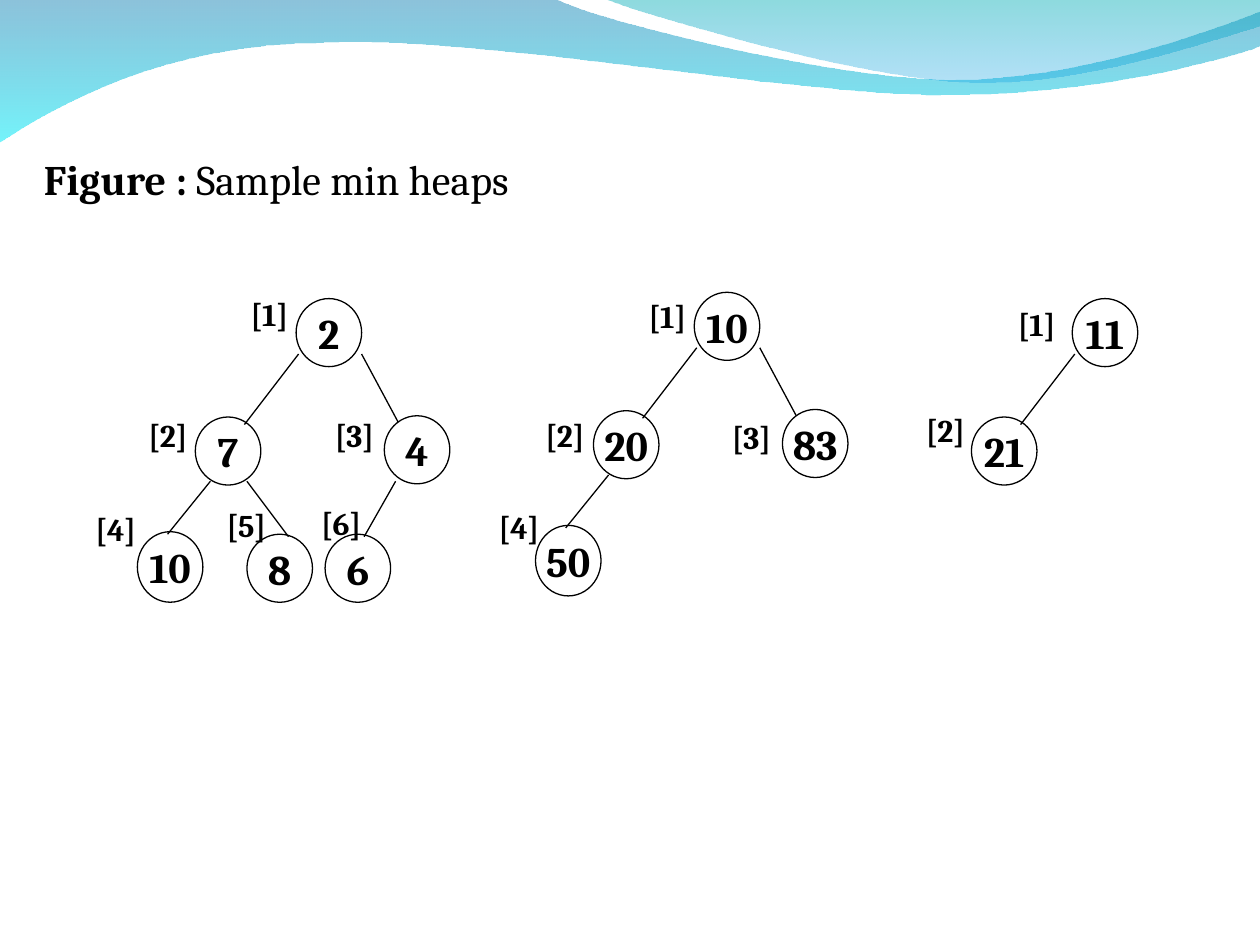
from lxml import etree
from pptx import Presentation
from pptx.dml.color import RGBColor
from pptx.enum.shapes import MSO_CONNECTOR, MSO_SHAPE
from pptx.enum.text import MSO_ANCHOR, PP_ALIGN
from pptx.oxml.ns import qn
from pptx.util import Inches, Pt

BLACK = RGBColor(0x00, 0x00, 0x00)
DEEP_BLUE = RGBColor(0x00, 0x79, 0xAF)
CYAN = RGBColor(0x00, 0xEB, 0xF8)
TEAL = RGBColor(0x00, 0xAD, 0xB6)
SKY_BLUE = RGBColor(0x00, 0x9B, 0xE5)

# Each wave: start, then segments of one point (straight line) or three points
# (Bezier curve), then gradient stops as colour and opacity in percent.
WAVES = [
    ((0, -0.01),
     [[(4.4, -0.01)],
      [(4.76, 0.17), (6.64, 0.63), (7.58, 0.63)],
      [(8.53, 0.63), (9.58, 0.26), (10, 0.09)],
      [(10.01, 0.36)],
      [(9.83, 0.44), (8.7, 0.76), (7.46, 0.75)],
      [(6.22, 0.75), (3.82, 0.28), (2.57, 0.34)],
      [(1.29, 0.35), (0.46, 0.83), (-0.01, 1.13)],
      [(0, -0.01)]],
     [(DEEP_BLUE, 45), (CYAN, 55)]),
    ((4.79, -0.01),
     [[(5.09, 0.11), (6.82, 0.62), (7.69, 0.65)],
      [(8.56, 0.69), (9.61, 0.32), (10, 0.21)],
      [(10, 0)],
      [(4.79, -0.01)]],
     [(TEAL, 45), (SKY_BLUE, 30)]),
]

# Layout shared by all heaps, relative to the root's top left corner.
NODE_WIDTH = 0.52
NODE_PLACES = {  # index: left, top, height
    1: (0, 0, 0.54),
    2: (-0.8, 0.94, 0.54),
    3: (0.7, 0.93, 0.54),
    4: (-1.26, 1.85, 0.56),
    5: (-0.39, 1.87, 0.54),
    6: (0.23, 1.87, 0.54),
}
EDGES_TO = {  # child index: start x, y, end x, y
    2: (0.02, 0.44, -0.41, 1),
    3: (0.52, 0.44, 0.81, 0.98),
    4: (-0.68, 1.45, -1.02, 1.87),
    5: (-0.39, 1.45, -0.06, 1.89),
    6: (0.79, 1.45, 0.54, 1.89),
}
# Each heap: root position, values in index order, index label positions.
HEAPS = [
    (2.35, 2.37, [2, 7, 4, 10, 8, 6],
     [(1.89, 2.29), (1.08, 3.25), (2.56, 3.25), (0.66, 4), (1.7, 3.97), (2.45, 3.95)]),
    (5.51, 2.32, [10, 20, 83, 50],
     [(5.05, 2.31), (4.23, 3.25), (5.71, 3.27), (3.86, 3.98)]),
    (8.51, 2.37, [11, 21],
     [(7.98, 2.37), (7.25, 3.21)]),
]


def add_run(paragraph, text, size, bold=True):
    run = paragraph.add_run()
    run.text = text
    run.font.name = "Cambria"
    run.font.size = Pt(size)
    run.font.bold = bold
    run.font.color.rgb = BLACK


prs = Presentation()
prs.slide_width, prs.slide_height = Inches(10), Inches(7.5)
slide = prs.slides.add_slide(prs.slide_layouts[6])
shapes = slide.shapes

for (start_x, start_y), segments, stops in WAVES:
    builder = shapes.build_freeform(Inches(start_x), Inches(start_y))
    builder.add_line_segments([(Inches(x), Inches(y)) for segment in segments
                               for x, y in segment], close=True)
    wave = builder.convert_to_shape()

    # Join the three points of each curved segment into one Bezier curve.
    lines = iter(list(wave._element.spPr.iter(qn("a:lnTo"))))
    for segment in segments:
        members = [next(lines) for _ in segment]
        if len(members) == 3:
            curve = etree.Element(qn("a:cubicBezTo"))
            members[0].addprevious(curve)
            for member in members:
                curve.append(member[0])
                member.getparent().remove(member)

    wave.shadow.inherit = False
    wave.line.fill.background()
    wave.fill.gradient()
    wave.fill.gradient_angle = 270
    for stop, (color, _) in zip(wave.fill.gradient_stops, stops):
        stop.color.rgb = color
    gradient_colors = wave._element.spPr.iter(qn("a:srgbClr"))
    for color_element, (_, opacity) in zip(gradient_colors, stops):
        etree.SubElement(color_element, qn("a:alpha"), val=str(opacity * 1000))

for root_x, root_y, values, label_places in HEAPS:
    for index, value in enumerate(values, start=1):
        left, top, height = NODE_PLACES[index]
        node = shapes.add_shape(MSO_SHAPE.OVAL, Inches(root_x + left), Inches(root_y + top),
                                Inches(NODE_WIDTH), Inches(height))
        node.shadow.inherit = False
        node.fill.background()
        node.line.color.rgb = BLACK
        node.line.width = Pt(0.75)
        node.text_frame.word_wrap = False
        node.text_frame.vertical_anchor = MSO_ANCHOR.MIDDLE
        node_text = node.text_frame.paragraphs[0]
        node_text.alignment = PP_ALIGN.CENTER
        add_run(node_text, str(value), 24)

        if index in EDGES_TO:
            x1, y1, x2, y2 = EDGES_TO[index]
            edge = shapes.add_connector(MSO_CONNECTOR.STRAIGHT,
                                        Inches(root_x + x1), Inches(root_y + y1),
                                        Inches(root_x + x2), Inches(root_y + y2))
            edge.line.color.rgb = BLACK
            edge.line.width = Pt(0.75)
            etree.SubElement(edge._element.spPr, qn("a:effectLst"))

    for index, (left, top) in enumerate(label_places, start=1):
        label = shapes.add_textbox(Inches(left), Inches(top), Inches(0.54), Inches(0.4))
        label.text_frame.word_wrap = False
        add_run(label.text_frame.paragraphs[0], f"[{index}]", 18)

caption = shapes.add_textbox(Inches(0.25), Inches(1.17), Inches(4.48), Inches(0.5))
caption.text_frame.word_wrap = False
caption_text = caption.text_frame.paragraphs[0]
add_run(caption_text, "Figure : ", 24)
add_run(caption_text, "Sample min heaps", 24, bold=False)

prs.save("out.pptx")
